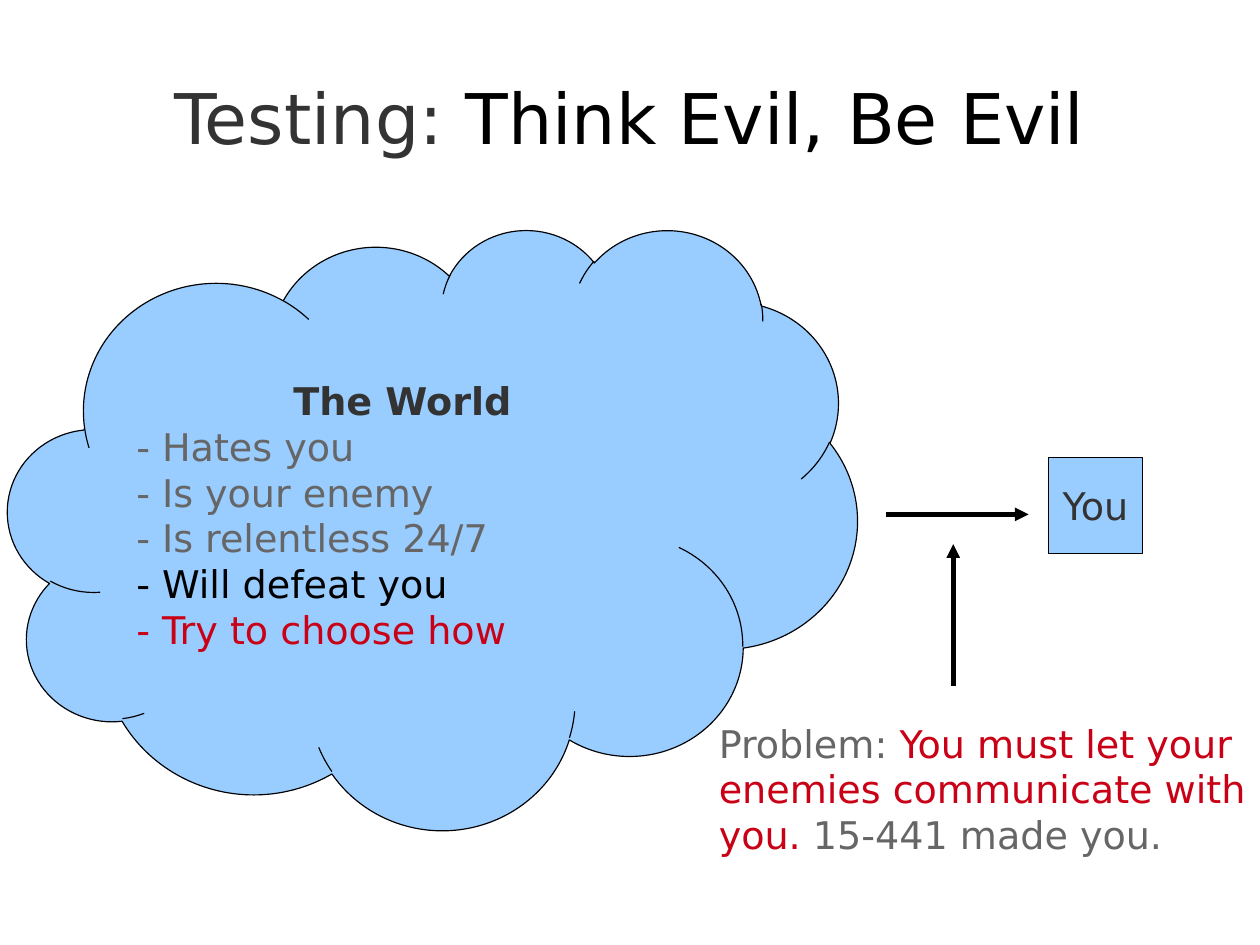
from lxml import etree
from pptx import Presentation
from pptx.dml.color import RGBColor
from pptx.enum.shapes import MSO_CONNECTOR, MSO_SHAPE
from pptx.enum.text import MSO_ANCHOR, MSO_AUTO_SIZE, PP_ALIGN
from pptx.oxml.ns import qn
from pptx.util import Cm, Inches, Pt

FONT = "DejaVu Sans"
BLACK = RGBColor(0x00, 0x00, 0x00)
CHARCOAL = RGBColor(0x33, 0x33, 0x33)
GRAY = RGBColor(0x66, 0x66, 0x66)
RED = RGBColor(0xC9, 0x00, 0x16)
SKY = RGBColor(0x99, 0xCC, 0xFF)

WORLD = [
    [("- Hates you", GRAY)],
    [("- Is your enemy", GRAY)],
    [("- Is relentless 24/7", GRAY)],
    [("- Will defeat you", BLACK)],
    [("- Try to choose how", RED)],
]
PROBLEM = [
    [("Problem: ", GRAY), ("You must let your", RED)],
    [("enemies communicate with", RED)],
    [("you.", RED), (" 15-441 made you.", GRAY)],
]


def inches(box):
    return [Inches(length) for length in box]


def write_lines(frame, lines, size=24, align=PP_ALIGN.LEFT):
    """Fill the frame with one paragraph per list of (text, colour) pieces."""
    for index, pieces in enumerate(lines):
        line = frame.add_paragraph() if index else frame.paragraphs[0]
        line.alignment = align
        for words, color in pieces:
            run = line.add_run()
            run.text = words
            run.font.name = FONT
            run.font.size = Pt(size)
            run.font.color.rgb = color


def place_title(slide, box):
    title = slide.shapes.title
    title.left, title.top, title.width, title.height = inches(box)
    frame = title.text_frame
    frame.margin_left = frame.margin_right = 0
    frame.margin_top = frame.margin_bottom = 0
    frame.vertical_anchor = MSO_ANCHOR.MIDDLE
    frame.auto_size = MSO_AUTO_SIZE.NONE
    heading = [("Testing: ", CHARCOAL), ("Think Evil, Be Evil", BLACK)]
    write_lines(frame, [heading], 44, PP_ALIGN.CENTER)


def add_blue_shape(slide, kind, box):
    """Add a sky-blue shape with a hairline and return its text frame."""
    shape = slide.shapes.add_shape(kind, *inches(box))
    shape.shadow.inherit = False
    shape.fill.solid()
    shape.fill.fore_color.rgb = SKY
    shape.line.color.rgb = BLACK
    shape.line.width = Pt(0)
    shape.text_frame.vertical_anchor = MSO_ANCHOR.MIDDLE
    return shape.text_frame


def add_world(slide, box):
    frame = add_blue_shape(slide, MSO_SHAPE.CLOUD, box)
    frame.word_wrap = True
    write_lines(frame, [[("The World", CHARCOAL)]] + WORLD)
    heading = frame.paragraphs[0]
    heading.alignment = PP_ALIGN.CENTER
    heading.runs[0].font.bold = True


def add_you(slide, box):
    frame = add_blue_shape(slide, MSO_SHAPE.RECTANGLE, box)
    frame.word_wrap = False
    write_lines(frame, [[("You", CHARCOAL)]], align=PP_ALIGN.CENTER)


def add_arrow(slide, start, end):
    arrow = slide.shapes.add_connector(
        MSO_CONNECTOR.STRAIGHT, *inches(start + end))
    arrow.line.color.rgb = BLACK
    arrow.line.width = Pt(2.89)
    etree.SubElement(arrow.line._get_or_add_ln(), qn("a:tailEnd"),
                     type="triangle")
    etree.SubElement(arrow._element.spPr, qn("a:effectLst"))


def add_problem(slide, box):
    frame = slide.shapes.add_textbox(*inches(box)).text_frame
    frame.word_wrap = False
    write_lines(frame, PROBLEM)


def main():
    deck = Presentation()
    deck.slide_width, deck.slide_height = Cm(28), Cm(21)
    slide = deck.slides.add_slide(deck.slide_layouts[5])
    place_title(slide, (0.55, 0.33, 9.92, 1.38))
    add_world(slide, (0.07, 2, 7.43, 5.25))
    add_you(slide, (9.17, 4, 0.83, 0.84))
    add_arrow(slide, (7.75, 4.5), (9, 4.5))
    add_arrow(slide, (8.34, 6), (8.34, 4.76))
    add_problem(slide, (6.19, 6.25, 4.81, 1.26))
    deck.save("out.pptx")


if __name__ == "__main__":
    main()
